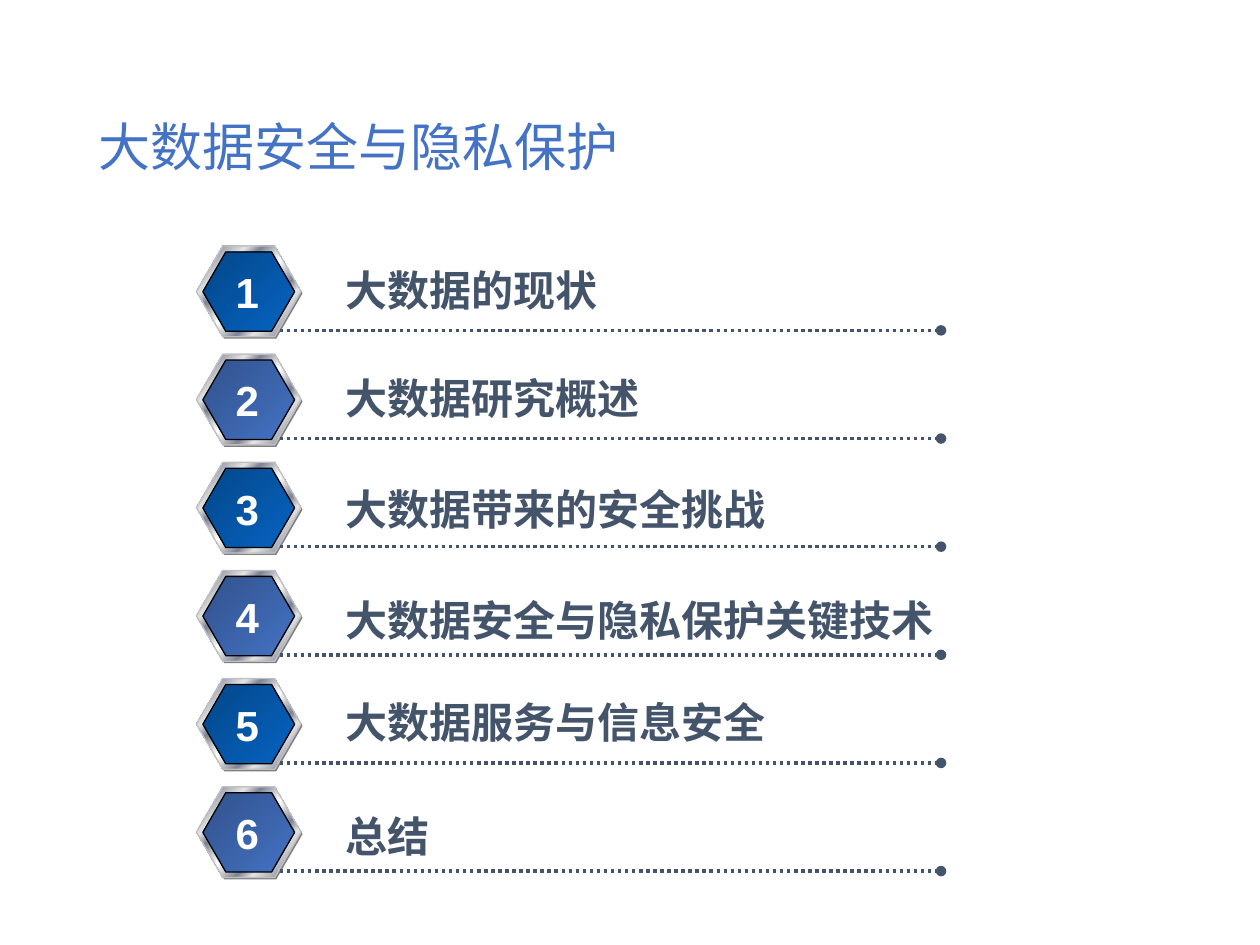
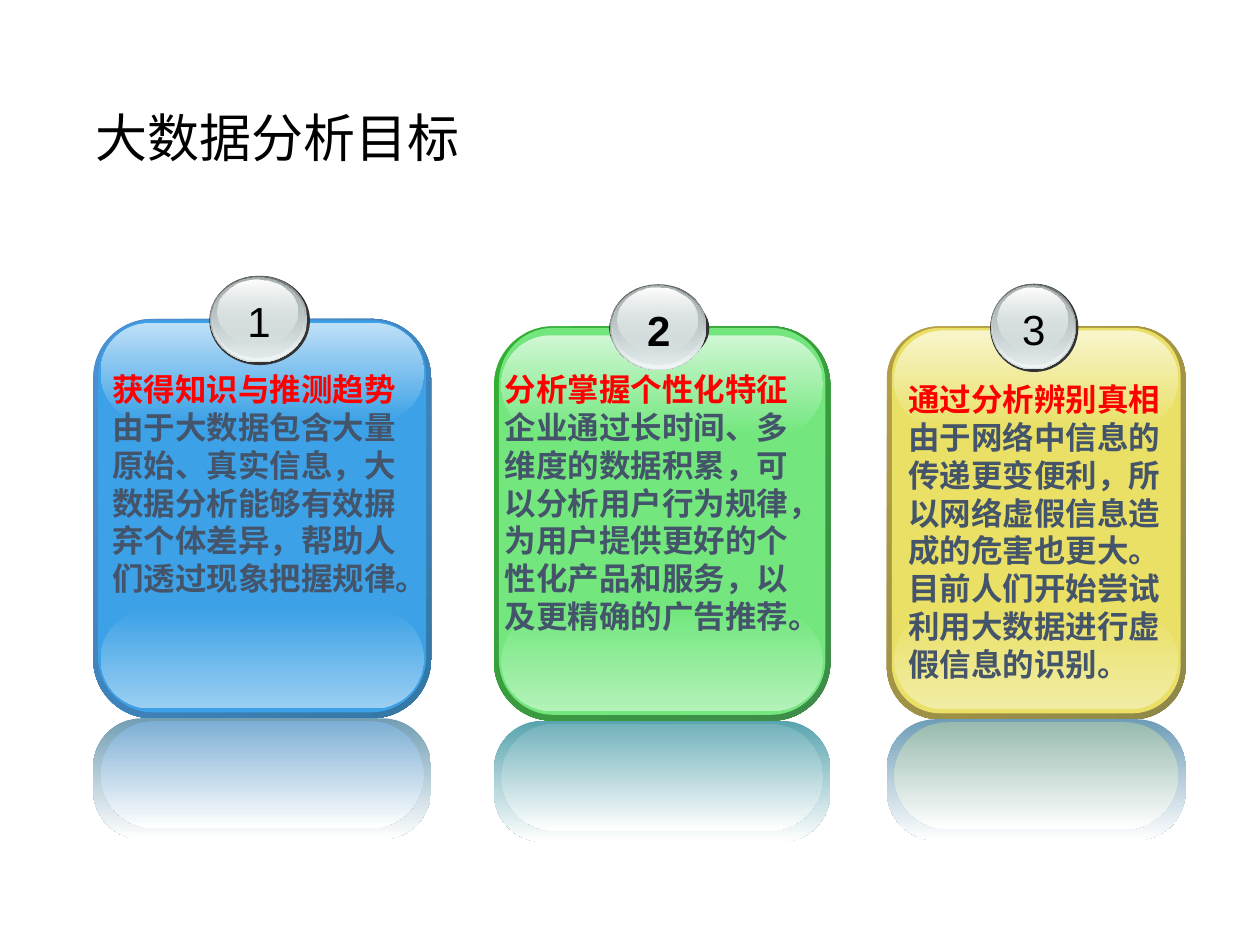
from dataclasses import dataclass
from typing import NamedTuple

from lxml import etree
from pptx import Presentation
from pptx import util as u
from pptx.dml.color import RGBColor
from pptx.enum import dml, shapes, text
from pptx.oxml import ns

Cm, Pt = u.Cm, u.Pt
Kind = shapes.MSO_SHAPE


class Box(NamedTuple):
    x: float
    y: float
    w: float
    h: float

    def inset(self, dx: float, dy: float, dh: float) -> "Box":
        return Box(self.x + dx, self.y + dy, self.w - 2 * dx, self.h - dh)

    def scale(self, x: float, y: float, w: float, h: float) -> "Box":
        return Box(self.x + x * self.w, self.y + y * self.h, w * self.w, h * self.h)


class Stop(NamedTuple):
    at: int
    hue: str
    alpha: int = 100


class Skin(NamedTuple):
    edge: tuple[str, str]
    body: str
    foot: str
    head: str
    glow: str
    shine: str


class Ring(NamedTuple):
    zone: tuple[float, float, float, float]
    stops: tuple[Stop, Stop]


@dataclass(frozen=True)
class Theme:
    sans: str = "Noto Sans CJK SC"
    latin: str = "Arial"
    title: float = 29.7
    label: float = 24
    prose: float = 18
    label_line: float = 29.5
    prose_line: float = 21.6
    white: str = "FFFFFF"
    black: str = "000000"
    blue: str = "4472C4"
    slate: str = "44546A"
    red: str = "FF0000"
    shade: str = "808080"
    silver: str = "C0C0C0"
    rim: str = "333333"
    faces: tuple = (("04478A", "0563C1"), ("31528C", "4472C4"))
    metal: tuple = (
        Stop(0, "E6E6E6"), Stop(8, "7D8496"), Stop(26, "E6E6E6"), Stop(34, "7D8496"),
        Stop(46, "E6E6E6"), Stop(50, "FFFFFF"), Stop(54, "E6E6E6"), Stop(66, "7D8496"),
        Stop(74, "E6E6E6"), Stop(92, "7D8496"), Stop(100, "E6E6E6"))
    rings: tuple = (
        Ring((0.01, 0, 0.96, 0.97), (Stop(0, "636869"), Stop(100, "D6E1E2"))),
        Ring((0.02, 0.01, 0.94, 0.94), (Stop(0, "D6E1E2", 0), Stop(100, "F1F5F5"))),
        Ring((0.03, 0.02, 0.9, 0.89), (Stop(0, "AAB2B3"), Stop(100, "D6E1E2", 48))),
        Ring((0.08, 0.04, 0.8, 0.72), (Stop(0, "FFFFFF"), Stop(100, "D6E1E2", 38))))
    sky: Skin = Skin(("4E91D4", "3477A4"), "3CA1E6", "9BCFF2", "BEE0F7", "729EB4", "7DAFD4")
    leaf: Skin = Skin(("34B034", "3F8B4A"), "73E77E", "B3F2B9", "D0F7D4", "58A4AE", "72B2BB")
    sand: Skin = Skin(("B59F43", "8F8849"), "E9E065", "F2EDA6", "F8F5CC", "6F9DB7", "98BAAF")


LOOK = Theme()


class Row(NamedTuple):
    label: str
    width: float
    nudge: float = 0


@dataclass(frozen=True)
class Card:
    skin: Skin
    box: Box
    ball: Box
    prose: Box
    lines: tuple[str, ...]
    bold: bool = False
    gloss: float = 0.08
    pinch: float = 0


ROWS = (
    Row("大数据的现状", 6.83),
    Row("大数据研究概述", 6.73),
    Row("大数据带来的安全挑战", 9.3, 0.06),
    Row("大数据安全与隐私保护关键技术", 12.47, 0.12),
    Row("大数据服务与信息安全", 9.07),
    Row("总结", 2.24, 0.1),
)
PITCH = 2.18

CARDS = (
    Card(LOOK.sky, Box(1.88, 6.43, 6.81, 8.05), Box(4.22, 5.56, 2.03, 1.8),
         Box(2.01, 7.34, 6.48, 7.95),
         ("获得知识与推测趋势",
          "由于大数据包含大量原始、真实信息，大数据分析能够有效摒弃个体差异，帮助人们透过现象把握规律。")),
    Card(LOOK.leaf, Box(9.96, 6.58, 6.78, 7.95), Box(12.28, 5.73, 2.02, 1.78),
         Box(9.93, 7.34, 6.63, 7.19),
         ("分析掌握个性化特征",
          "企业通过长时间、多维度的数据积累，可以分析用户行为规律，为用户提供更好的个性化产品和服务，以及更精确的广告推荐。"),
         bold=True, gloss=0.18, pinch=0.17),
    Card(LOOK.sand, Box(17.88, 6.58, 6.02, 7.92), Box(19.96, 5.72, 1.78, 1.78),
         Box(18.06, 7.54, 5.72, 7.95),
         ("通过分析辨别真相",
          "由于网络中信息的传递更变便利，所以网络虚假信息造成的危害也更大。",
          "目前人们开始尝试利用大数据进行虚假信息的识别。")),
)


def rgb(hue: str) -> RGBColor:
    return RGBColor.from_string(hue)


def place(box: Box) -> list:
    return [Cm(side) for side in box]


def blend(shape, stops, angle: int) -> None:
    shape.fill.gradient()
    shape.fill.gradient_angle = -angle % 360
    grad = shape._element.spPr.find(ns.qn("a:gradFill"))
    chain = grad.find(ns.qn("a:gsLst"))
    for old in list(chain):
        chain.remove(old)
    for stop in stops:
        mark = etree.SubElement(chain, ns.qn("a:gs"), pos=str(stop.at * 1000))
        tint = etree.SubElement(mark, ns.qn("a:srgbClr"), val=stop.hue)
        if stop.alpha < 100:
            etree.SubElement(tint, ns.qn("a:alpha"), val=str(stop.alpha * 1000))


def fade(first: str, last: str) -> tuple[Stop, Stop]:
    return Stop(0, first), Stop(100, last)


def solid(slide, kind, box: Box, paint, angle: int = 90, bend=None, line=None) -> None:
    shape = slide.shapes.add_shape(kind, *place(box))
    shape.shadow.inherit = False
    if bend is not None:
        shape.adjustments[0] = bend
    if isinstance(paint, str):
        shape.fill.solid()
        shape.fill.fore_color.rgb = rgb(paint)
    else:
        blend(shape, paint, angle)
    if line:
        shape.line.color.rgb = rgb(line)
        shape.line.width = Pt(0.75)
    else:
        shape.line.fill.background()


def style(para, size: float, hue: str, font: str, bold: bool, pitch) -> None:
    para.line_spacing = pitch
    for run in para.runs:
        run.font.size = Pt(size)
        run.font.bold = bold
        run.font.name = font
        run.font.color.rgb = rgb(hue)
        east = etree.SubElement(run._r.get_or_add_rPr(), ns.qn("a:ea"))
        east.set("typeface", LOOK.sans)


def write(slide, box: Box, words: str, wrap: bool = False):
    frame = slide.shapes.add_textbox(*place(box)).text_frame
    frame.text = words
    frame.word_wrap = wrap
    return frame


def label(slide, box: Box, words: str, hue: str, bold: bool = True, align=None) -> None:
    frame = write(slide, box, words)
    frame.auto_size = text.MSO_AUTO_SIZE.SHAPE_TO_FIT_TEXT
    para = frame.paragraphs[0]
    para.alignment = align
    style(para, LOOK.label, hue, LOOK.latin, bold, Pt(LOOK.label_line))


def title(slide, box: Box, words: str, hue: str) -> None:
    frame = write(slide, box, words, True)
    frame.vertical_anchor = text.MSO_ANCHOR.MIDDLE
    style(frame.paragraphs[0], LOOK.title, hue, LOOK.sans, False, 0.9)


def rule(slide, left: float, right: float, y: float) -> None:
    line = slide.shapes.add_connector(
        shapes.MSO_CONNECTOR.STRAIGHT, Cm(left), Cm(y), Cm(right), Cm(y))
    line.line.color.rgb = rgb(LOOK.slate)
    line.line.width = Pt(2)
    line.line.dash_style = dml.MSO_LINE.ROUND_DOT
    stroke = line._element.spPr.find(ns.qn("a:ln"))
    etree.SubElement(stroke, ns.qn("a:tailEnd"), type="oval")
    etree.SubElement(line._element.spPr, ns.qn("a:effectLst"))


def draw_row(slide, rank: int, row: Row) -> None:
    drop = rank * PITCH
    face = fade(*LOOK.faces[rank % 2])
    for box, paint, line in (
            (Box(3.99, 5 + drop, 2.11, 1.83), LOOK.shade, None),
            (Box(3.96, 4.96 + drop, 2.11, 1.83), LOOK.metal, LOOK.silver),
            (Box(4.09, 5.08 + drop, 1.85, 1.6), face, LOOK.black)):
        solid(slide, Kind.HEXAGON, box, paint, 45, 0.29, line)
    rule(slide, 5.64, 18.97, 6.66 + drop)
    label(slide, Box(6.71, 5.18 + drop + row.nudge, row.width, 1.3), row.label, LOOK.slate)
    label(slide, Box(4.5, 5.23 + drop, 0.99, 1.27), str(rank + 1), LOOK.white)


def draw_card(slide, rank: int, card: Card) -> None:
    skin, box, ball = card.skin, card.box, card.ball
    base = box.y + box.h
    gloss = box.inset(0.15, 0, 0)
    for pane, paint, angle, bend in (
            (box, fade(*skin.edge), 45, 0.175),
            (box.inset(0.1, 0.03, 0.15), skin.body, 90, 0.167),
            (gloss._replace(y=base - 2.2, h=2), fade(skin.body, skin.foot), 90, 0.5),
            (gloss._replace(y=box.y + card.gloss, h=2), fade(skin.head, skin.body), 90, 0.5),
            (box._replace(y=base, h=2.44), fade(skin.glow, LOOK.white), 90, 0.404),
            (gloss._replace(y=base + 0.06, h=2.16), fade(skin.shine, LOOK.white), 90, 0.5)):
        solid(slide, Kind.ROUNDED_RECTANGLE, pane, paint, angle, bend)
    solid(slide, Kind.OVAL, ball.inset(0, card.pinch, 2 * card.pinch), LOOK.rim)
    for ring in LOOK.rings:
        solid(slide, Kind.OVAL, ball.scale(*ring.zone), ring.stops)
    spot = Box(ball.x + ball.w / 2 - 0.56, ball.y + 0.25, 1.1, 1.28)
    label(slide, spot, str(rank + 1), LOOK.black, card.bold, text.PP_ALIGN.CENTER)
    frame = write(slide, card.prose, "\n".join(card.lines), True)
    for order, para in enumerate(frame.paragraphs):
        hue = LOOK.slate if order else LOOK.red
        style(para, LOOK.prose, hue, LOOK.latin, True, Pt(LOOK.prose_line))


def main() -> None:
    deck = Presentation()
    deck.slide_width, deck.slide_height = Cm(25.4), Cm(19.05)
    blank = deck.slide_layouts[6]

    slide = deck.slides.add_slide(blank)
    title(slide, Box(1.73, 2.34, 17.78, 1.35), "大数据安全与隐私保护", LOOK.blue)
    for rank, row in enumerate(ROWS):
        draw_row(slide, rank, row)

    slide = deck.slides.add_slide(blank)
    title(slide, Box(1.68, 2.16, 11.43, 1.35), "大数据分析目标", LOOK.black)
    for rank, card in enumerate(CARDS):
        draw_card(slide, rank, card)

    deck.save("out.pptx")


if __name__ == "__main__":
    main()
